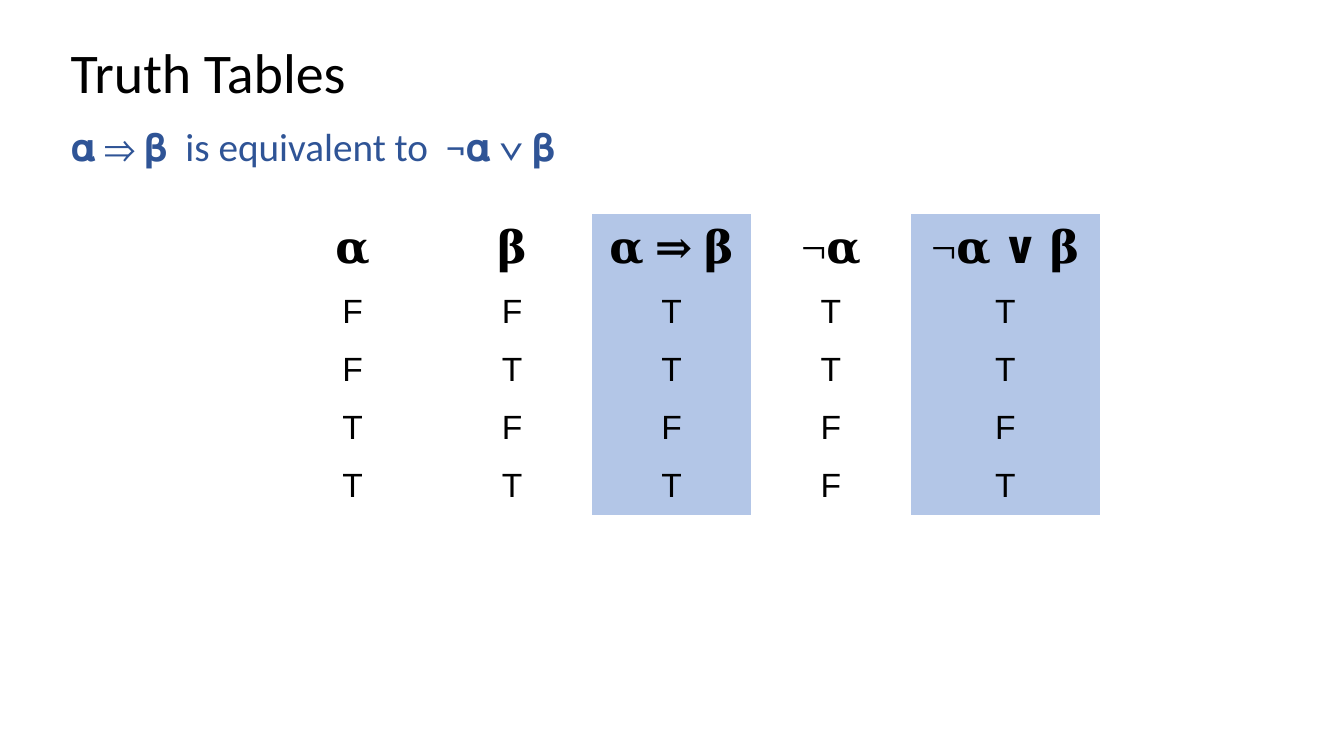
"""Build a slide that compares two logical formulas in a truth table."""
from itertools import product

from pptx import Presentation
from pptx.dml.color import RGBColor
from pptx.enum.text import MSO_ANCHOR, MSO_AUTO_SIZE, PP_ALIGN
from pptx.util import Inches, Pt

LEFT, CENTER = PP_ALIGN.LEFT, PP_ALIGN.CENTER
TOP, MIDDLE = MSO_ANCHOR.TOP, MSO_ANCHOR.MIDDLE
NO_AUTOFIT = MSO_AUTO_SIZE.NONE
TITLE_ONLY = 5
GRID_COLUMNS = 100
PLAIN_TABLE_STYLE = "{2D5ABB26-0587-4C30-8999-92F81FD0307C}"
COLORS = {"text": "000000", "accent": "2F5496", "highlight": "B3C6E7"}


class TruthTableSlide:
    def __init__(self, presentation):
        self.unit = presentation.slide_width / GRID_COLUMNS
        self.slide = presentation.slides.add_slide(presentation.slide_layouts[TITLE_ONLY])

    def box(self, *cells):
        return [round(cell * self.unit) for cell in cells]

    def style(self, paragraph, size, font_name, color="text", alignment=LEFT):
        paragraph.alignment = alignment
        paragraph.font.size = Pt(size)
        paragraph.font.name = font_name
        paragraph.font.color.rgb = RGBColor.from_string(COLORS[color])

    def set_margins(self, target, horizontal, vertical):
        target.margin_left = target.margin_right = Pt(horizontal)
        target.margin_top = target.margin_bottom = Pt(vertical)

    def fill_text(self, shape, text, size, color, anchor):
        frame = shape.text_frame
        frame.word_wrap = True
        frame.auto_size = NO_AUTOFIT
        frame.vertical_anchor = anchor
        self.set_margins(frame, 5.4, 2.7)
        frame.text = text
        paragraph = frame.paragraphs[0]
        paragraph.line_spacing = 0.9
        self.style(paragraph, size, "Calibri", color)

    def title(self, text, *cells):
        shape = self.slide.shapes.title
        shape.left, shape.top, shape.width, shape.height = self.box(*cells)
        self.fill_text(shape, text, 30, "text", MIDDLE)

    def statement(self, text, *cells):
        shape = self.slide.shapes.add_textbox(*self.box(*cells))
        self.fill_text(shape, text, 21, "accent", TOP)

    def table(self, rows, column_widths, row_height, left, top, highlighted):
        area = self.box(left, top, sum(column_widths), row_height * len(rows))
        table = self.slide.shapes.add_table(len(rows), len(column_widths), *area).table
        table.first_row = table.horz_banding = False
        table._tbl.tblPr[0].text = PLAIN_TABLE_STYLE
        for column, width in zip(table.columns, self.box(*column_widths)):
            column.width = width
        for row_index, row in enumerate(rows):
            table.rows[row_index].height = round(row_height * self.unit)
            size, font_name = (18, "Arial") if row_index else (24, "Times New Roman")
            for column_index, text in enumerate(row):
                cell = table.cell(row_index, column_index)
                cell.text = text
                self.set_margins(cell, 5.4, 5.4)
                self.style(cell.text_frame.paragraphs[0], size, font_name, alignment=CENTER)
                if column_index in highlighted:
                    cell.fill.solid()
                    cell.fill.fore_color.rgb = RGBColor.from_string(COLORS["highlight"])
                else:
                    cell.fill.background()


def truth_rows():
    rows = [["𝛂", "𝛃", "𝛂 ⇒ 𝛃", "¬𝛂", "¬𝛂 ∨ 𝛃"]]
    for alpha, beta in product((False, True), repeat=2):
        values = (alpha, beta, alpha <= beta, not alpha, not alpha or beta)
        rows.append(["T" if value else "F" for value in values])
    return rows


def main():
    presentation = Presentation()
    presentation.slide_width = Inches(10)
    presentation.slide_height = presentation.slide_width * 9 // 16
    slide = TruthTableSlide(presentation)
    slide.title("Truth Tables", 4.5, 3.04, 86.2, 5.1)
    slide.statement("𝛂 ⇒ 𝛃  is equivalent to  ¬𝛂 ∨ 𝛃", 4.5, 9.1, 86.2, 16.7)
    slide.table(truth_rows(), [11.87] * 4 + [14.08], 3.1, 20.3, 15.9, highlighted=(2, 4))
    presentation.save("out.pptx")


if __name__ == "__main__":
    main()
